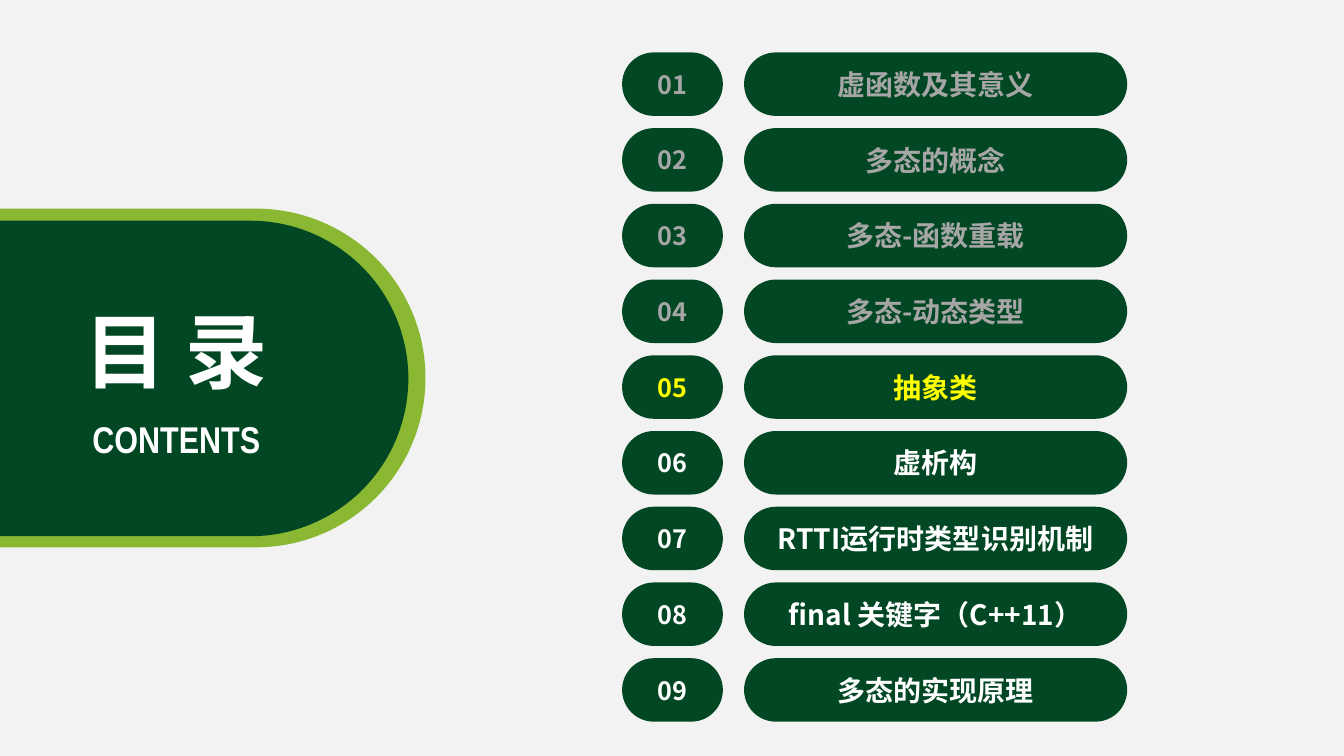
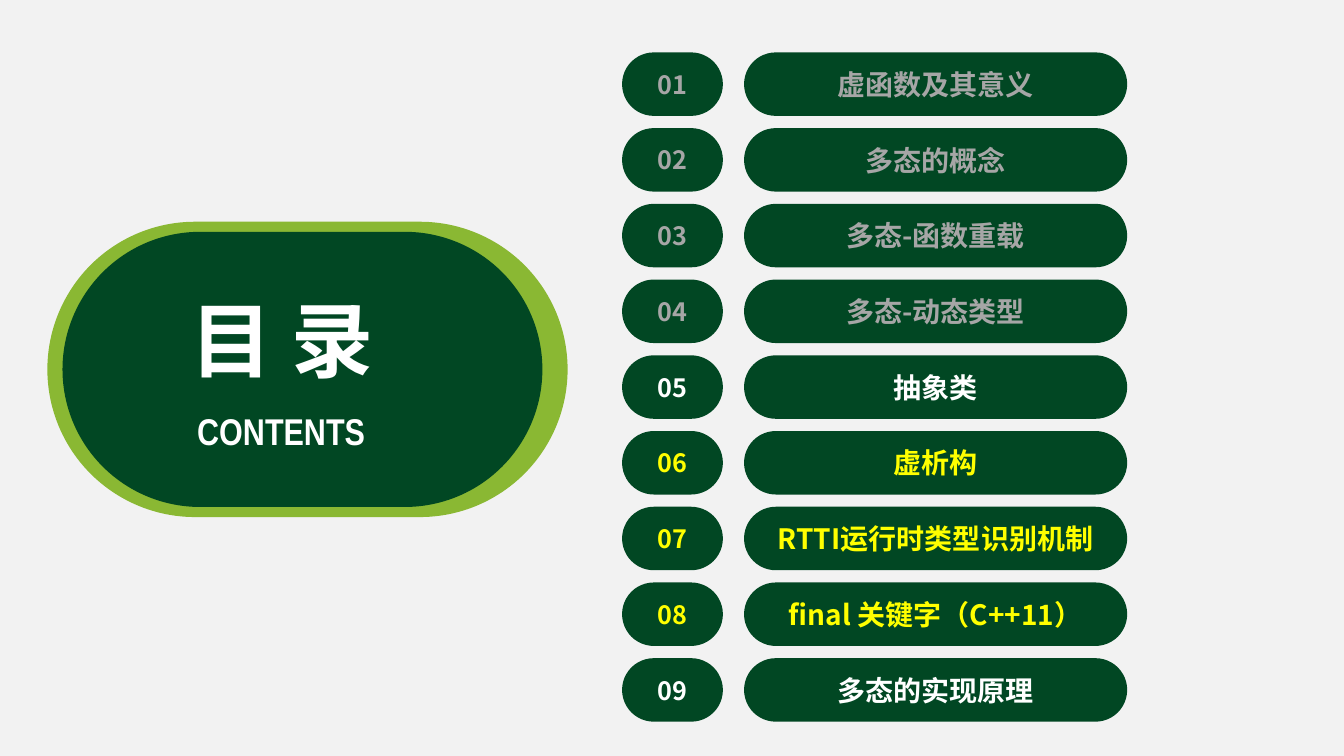
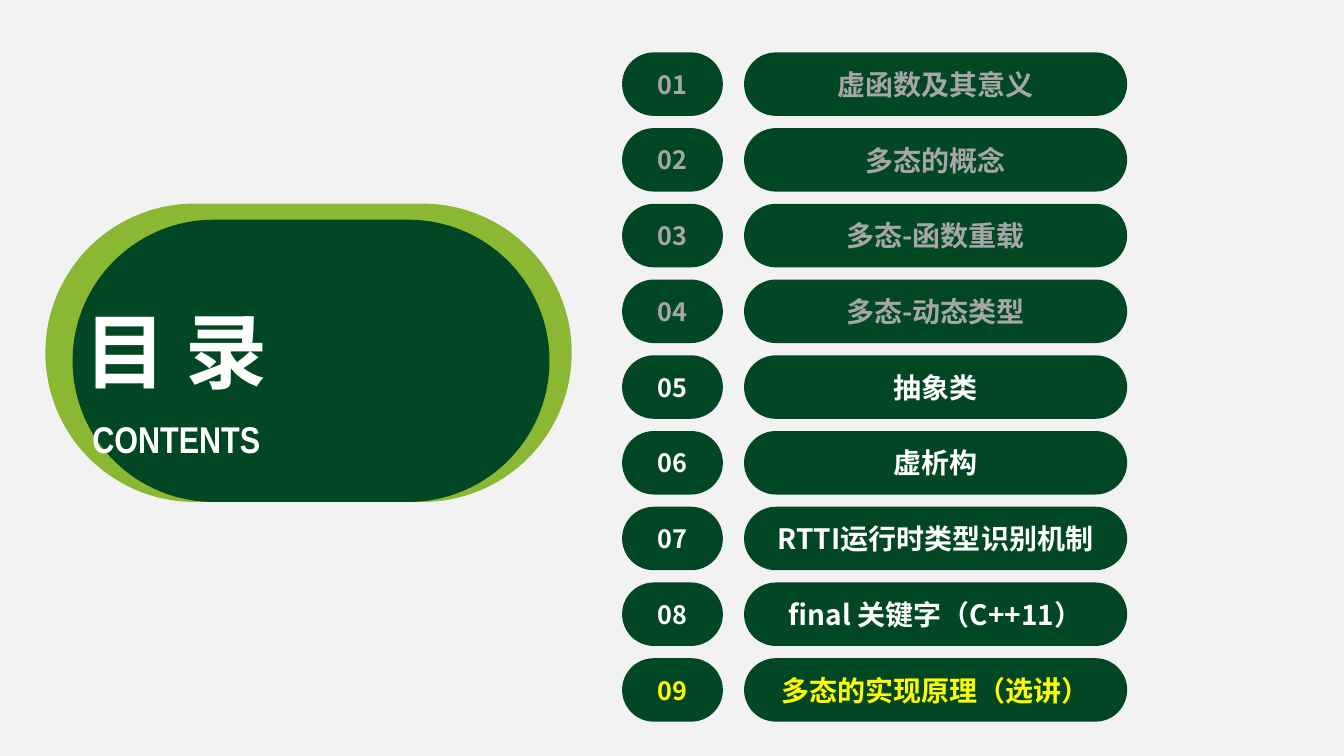
"""Build three agenda slides that mark the current chapters of a course."""
from lxml import etree
from pptx import Presentation
from pptx.dml.color import RGBColor
from pptx.enum.shapes import MSO_SHAPE
from pptx.enum.text import MSO_ANCHOR, MSO_AUTO_SIZE, PP_ALIGN
from pptx.oxml.ns import qn
from pptx.util import Emu, Pt

ROUNDED = MSO_SHAPE.ROUNDED_RECTANGLE
CENTER = PP_ALIGN.CENTER
TOP, MIDDLE = MSO_ANCHOR.TOP, MSO_ANCHOR.MIDDLE
FIT_SHAPE = MSO_AUTO_SIZE.SHAPE_TO_FIT_TEXT

CHAPTERS = [
    "虚函数及其意义",
    "多态的概念",
    "多态-函数重载",
    "多态-动态类型",
    "抽象类",
    "虚析构",
    "RTTI运行时类型识别机制",
    "final 关键字（C++11）",
    "多态的实现原理",
]
FINISHED = {1, 2, 3, 4}
HEADING, SUBHEADING = "目 录", "CONTENTS"

LEFT_HEADING = {"heading": (70, 293, 209, 109), "subheading": (62, 408, 226, 55)}
INSET_HEADING = {"heading": (175, 282, 209, 109), "subheading": (166, 400, 226, 55)}
AGENDAS = [
    {"current": {5}, "rim": (-196, 207, 618, 336), "panel": (-170, 219, 575, 313),
     **LEFT_HEADING},
    {"current": {6, 7, 8}, "rim": (47, 220, 516, 293), "panel": (62, 230, 476, 273),
     **INSET_HEADING},
    {"current": {9}, "rim": (45, 202, 522, 296), "panel": (72, 218, 473, 280),
     **LEFT_HEADING, "renamed": {9: "多态的实现原理（选讲）"}},
]

THEME = {
    "background": RGBColor.from_string("F2F2F2"),
    "rim": RGBColor.from_string("8AB833"),
    "panel": RGBColor.from_string("014723"),
    "finished": RGBColor.from_string("A6A6A6"),
    "current": RGBColor.from_string("FFFF00"),
    "plain": RGBColor.from_string("FFFFFF"),
    "font": "Noto Sans CJK SC",
    "narrow_font": "Arial Narrow",
    "number_size": 18,
    "chapter_size": 20,
    "subheading_size": 26.6,
    "heading_size": 58.6,
}

PX = 9144
SLIDE_WIDTH, SLIDE_HEIGHT = 1333, 750
FIRST_TOP, LAST_TOP, ROW_HEIGHT = 52, 653, 63
NUMBER_LEFT, NUMBER_WIDTH = 617, 100
CHAPTER_LEFT, CHAPTER_WIDTH = 738, 380


def to_emu(box):
    return [Emu(round(length * PX)) for length in box]


def write(shape, text, size, color, font_name, frame_format):
    frame = shape.text_frame
    for name, value in frame_format.items():
        setattr(frame, name, value)
    paragraph = frame.paragraphs[0]
    paragraph.alignment = CENTER
    run = paragraph.add_run()
    run.text = text
    for name, value in {"name": font_name, "size": Pt(size), "bold": True}.items():
        setattr(run.font, name, value)
    run.font.color.rgb = color
    east_asian = etree.SubElement(run._r.get_or_add_rPr(), qn("a:ea"))
    east_asian.set("typeface", font_name)


def add_pill(slide, box, color):
    shape = slide.shapes.add_shape(ROUNDED, *to_emu(box))
    shape.adjustments[0] = 0.5
    shape.shadow.inherit = False
    shape.fill.solid()
    shape.fill.fore_color.rgb = color
    shape.line.fill.background()
    return shape


def add_heading(slide, agenda):
    for name in ("rim", "panel"):
        add_pill(slide, agenda[name], THEME[name])
    frame_format = {"word_wrap": False, "auto_size": FIT_SHAPE, "vertical_anchor": TOP}
    title = slide.shapes.title
    title.left, title.top, title.width, title.height = to_emu(agenda["heading"])
    title.element.getparent().append(title.element)
    write(title, HEADING, THEME["heading_size"], THEME["plain"], THEME["font"], frame_format)
    subheading = slide.shapes.add_textbox(*to_emu(agenda["subheading"]))
    write(subheading, SUBHEADING, THEME["subheading_size"], THEME["plain"],
          THEME["narrow_font"], frame_format)


def add_chapters(slide, agenda):
    pitch = (LAST_TOP - FIRST_TOP) / (len(CHAPTERS) - 1)
    for number, chapter in enumerate(CHAPTERS, start=1):
        top = FIRST_TOP + (number - 1) * pitch
        state = "finished" if number in FINISHED else "plain"
        if number in agenda["current"]:
            state = "current"
        label = agenda.get("renamed", {}).get(number, chapter)
        for left, width, text, size in (
            (NUMBER_LEFT, NUMBER_WIDTH, f"{number:02}", THEME["number_size"]),
            (CHAPTER_LEFT, CHAPTER_WIDTH, label, THEME["chapter_size"]),
        ):
            pill = add_pill(slide, (left, top, width, ROW_HEIGHT), THEME["panel"])
            write(pill, text, size, THEME[state], THEME["font"],
                  {"word_wrap": True, "vertical_anchor": MIDDLE})


def main():
    presentation = Presentation()
    presentation.slide_width, presentation.slide_height = to_emu((SLIDE_WIDTH, SLIDE_HEIGHT))
    background = presentation.slide_master.background.fill
    background.solid()
    background.fore_color.rgb = THEME["background"]
    title_only = presentation.slide_layouts[5]
    for agenda in AGENDAS:
        slide = presentation.slides.add_slide(title_only)
        add_heading(slide, agenda)
        add_chapters(slide, agenda)
    presentation.save("out.pptx")


if __name__ == "__main__":
    main()
